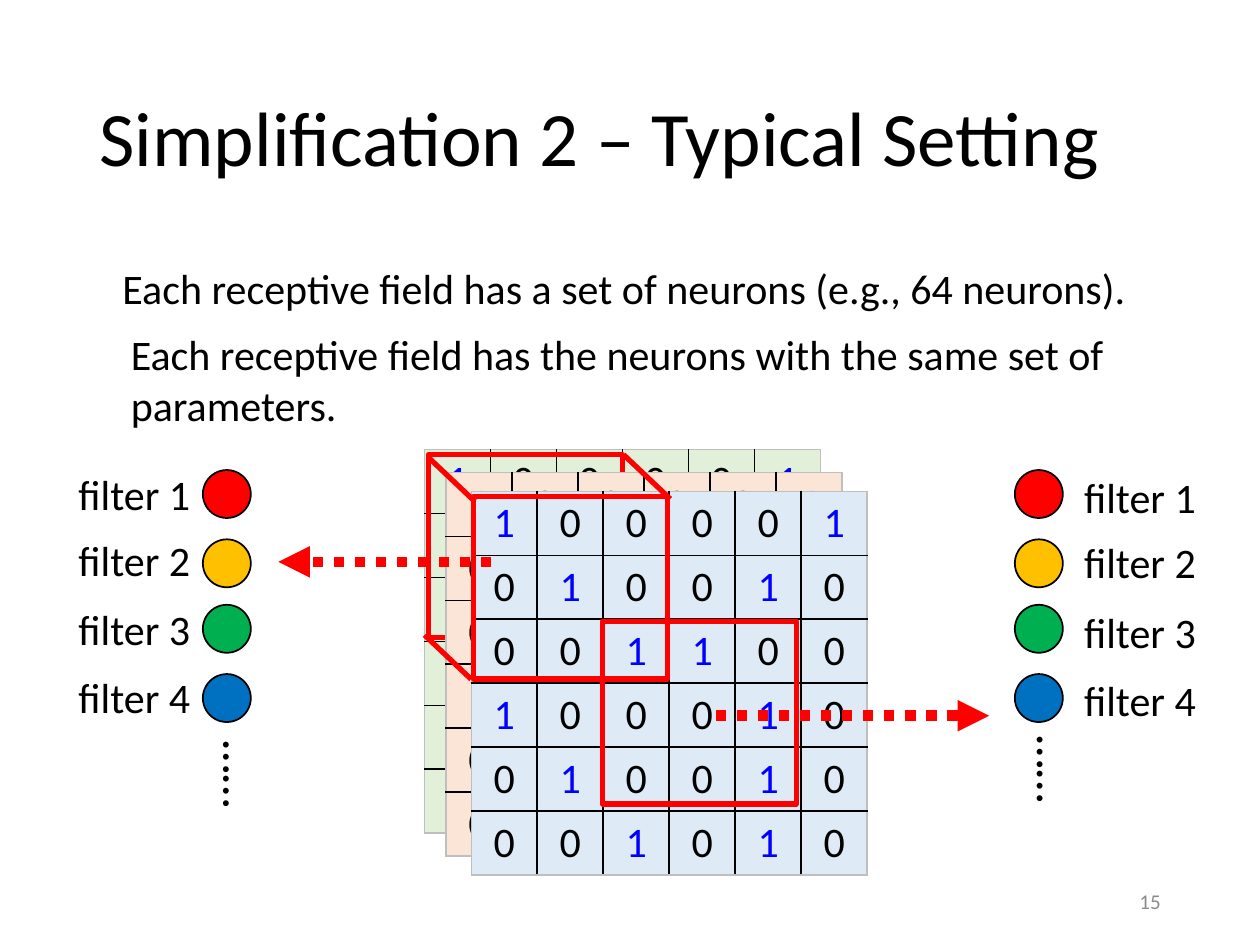
from lxml.etree import SubElement
from pptx import Presentation
from pptx.dml.color import RGBColor
from pptx.enum.dml import MSO_LINE
from pptx.enum.shapes import MSO_CONNECTOR, MSO_SHAPE
from pptx.enum.text import MSO_ANCHOR, PP_ALIGN
from pptx.oxml.ns import qn
from pptx.util import Pt

COLORS = {
    "text": "000000", "one": "0000FF", "mark": "FF0000", "number": "8C8C8C",
    "grid": "000000", "edge": "BFBFBF",
    "green": "E2F0D9", "orange": "FBE5D6", "blue": "DEEBF7",
}
FILTERS = {
    "filter 1": ("FF0000", 268.6, 264.2),
    "filter 2": ("FFC000", 308.2, 301.7),
    "filter 3": ("00B050", 345.6, 341.3),
    "filter 4": ("0070C0", 385.2, 380.2),
}
IMAGE = ["100001", "010010", "001100", "100010", "010010", "001010"]
FIELD = (110.9, 104.4)
DEPTH = (26.6, 25.2)


def rgb(name):
    """Turn a palette name or a hex string into a colour."""
    return RGBColor.from_string(COLORS.get(name, name))


def add_run(paragraph, text, size=24, color="text"):
    """Add one formatted run to a paragraph."""
    run = paragraph.add_run()
    run.text = text
    run.font.name = "Calibri"
    run.font.size = Pt(size)
    run.font.color.rgb = rgb(color)


def add_text(slide, text, box, size=24, color="text", align=PP_ALIGN.LEFT):
    """Add a wrapping text box and return it."""
    label = slide.shapes.add_textbox(*map(Pt, box))
    label.text_frame.word_wrap = True
    paragraph = label.text_frame.paragraphs[0]
    paragraph.alignment = align
    add_run(paragraph, text, size, color)
    return label


def add_outline(slide, preset, box, line, width, fill=None):
    """Add a preset shape with a line and an optional fill."""
    outline = slide.shapes.add_shape(preset, *map(Pt, box))
    outline.shadow.inherit = False
    if fill:
        outline.fill.solid()
        outline.fill.fore_color.rgb = rgb(fill)
    else:
        outline.fill.background()
    outline.line.color.rgb = rgb(line)
    outline.line.width = Pt(width)


def add_field(slide, left, top):
    """Frame one receptive field."""
    add_outline(slide, MSO_SHAPE.RECTANGLE, (left, top, *FIELD), "mark", 3)


def add_line(slide, start, end, width=3):
    """Add a straight red line without shadow."""
    stroke = slide.shapes.add_connector(
        MSO_CONNECTOR.STRAIGHT, *map(Pt, (*start, *end)))
    stroke.line.color.rgb = rgb("mark")
    stroke.line.width = Pt(width)
    SubElement(stroke.element.spPr, qn("a:effectLst"))
    return stroke


def add_arrow(slide, start, end):
    """Add a thick dotted arrow."""
    arrow = add_line(slide, start, end, 6)
    arrow.line.dash_style = MSO_LINE.ROUND_DOT
    SubElement(arrow.line._get_or_add_ln(), qn("a:tailEnd"), type="triangle")


def add_borders(cell, row, column, last):
    """Draw dark inner borders and pale outer borders around a cell."""
    properties = cell._tc.get_or_add_tcPr()
    outer = {"L": column == 0, "R": column == last,
             "T": row == 0, "B": row == last}
    for index, (side, is_outer) in enumerate(outer.items()):
        border = properties.makeelement(qn(f"a:ln{side}"), w=str(Pt(1)))
        properties.insert(index, border)
        paint = SubElement(border, qn("a:solidFill"))
        SubElement(paint, qn("a:srgbClr"),
                   val=COLORS["edge" if is_outer else "grid"])


def add_channel(slide, left, top, color):
    """Add one image channel as a table of zeros and ones."""
    count = len(IMAGE)
    channel = slide.shapes.add_table(
        count, count, Pt(left), Pt(top), Pt(226.3), Pt(216)).table
    channel.first_row = channel.horz_banding = False
    for column in channel.columns:
        column.width = Pt(226.3 / count)
    for row, digits in enumerate(IMAGE):
        channel.rows[row].height = Pt(29.2)
        for column, digit in enumerate(digits):
            cell = channel.cell(row, column)
            cell.fill.solid()
            cell.fill.fore_color.rgb = rgb(color)
            paragraph = cell.text_frame.paragraphs[0]
            paragraph.alignment = PP_ALIGN.CENTER
            add_run(paragraph, digit, color="one" if digit == "1" else "text")
            add_borders(cell, row, column, count - 1)


def add_filters(slide, circle_left, label_left, label_shift, dots):
    """Add a column of filter circles, their labels and the dots below."""
    for name, (color, circle_top, label_top) in FILTERS.items():
        add_outline(slide, MSO_SHAPE.OVAL,
                    (circle_left, circle_top, 27.4, 27.4), "text", 1, color)
        add_text(slide, name, (label_left, label_top + label_shift, 97.9, 36))
    add_text(slide, "……", (*dots, 91.4, 41), 28).rotation = 90


def add_title(slide, text):
    """Place and fill the title."""
    title = slide.shapes.title
    title.left, title.top, title.width, title.height = map(
        Pt, (49.7, 28.8, 620.6, 104.4))
    title.text_frame.vertical_anchor = MSO_ANCHOR.MIDDLE
    paragraph = title.text_frame.paragraphs[0]
    paragraph.alignment = PP_ALIGN.LEFT
    paragraph.line_spacing = 0.9
    add_run(paragraph, text, 44)


def main():
    """Build the slide and save it."""
    deck = Presentation()
    deck.slide_width, deck.slide_height = Pt(720), Pt(540)
    slide = deck.slides.add_slide(deck.slide_layouts[5])
    add_title(slide, "Simplification 2 – Typical Setting")

    add_channel(slide, 242.6, 257, "green")
    add_field(slide, 244.8, 259.9)
    add_channel(slide, 254.9, 270, "orange")
    add_channel(slide, 269.3, 280.8, "blue")
    add_field(slide, 270.7, 283.7)
    for left, top in ((242.6, 362.9), (244.8, 261.4), (356.4, 259.9)):
        add_line(slide, (left, top), (left + DEPTH[0], top + DEPTH[1]))
    add_field(slide, 344.2, 355)

    neurons = add_text(
        slide, "Each receptive field has a set of neurons (e.g., 64 neurons).",
        (61.9, 146.2, 600.5, 36), align=PP_ALIGN.CENTER)
    neurons.text_frame.margin_right = Pt(18)
    add_text(slide, "Each receptive field has the neurons with the same set of "
             "parameters.", (67.7, 184.3, 600.5, 65.5))

    add_filters(slide, 115.9, 37.8, 0, (92.9, 441.4))
    add_filters(slide, 579.9, 612.4, 1.6, (558, 438.5))
    add_arrow(slide, (280.8, 321.1), (159.1, 321.1))
    add_arrow(slide, (409, 409), (565.2, 409))

    number = add_text(slide, "15", (508.3, 500.4, 162, 28.8), 12, "number",
                      PP_ALIGN.RIGHT)
    number.text_frame.vertical_anchor = MSO_ANCHOR.MIDDLE
    deck.save("out.pptx")


if __name__ == "__main__":
    main()
